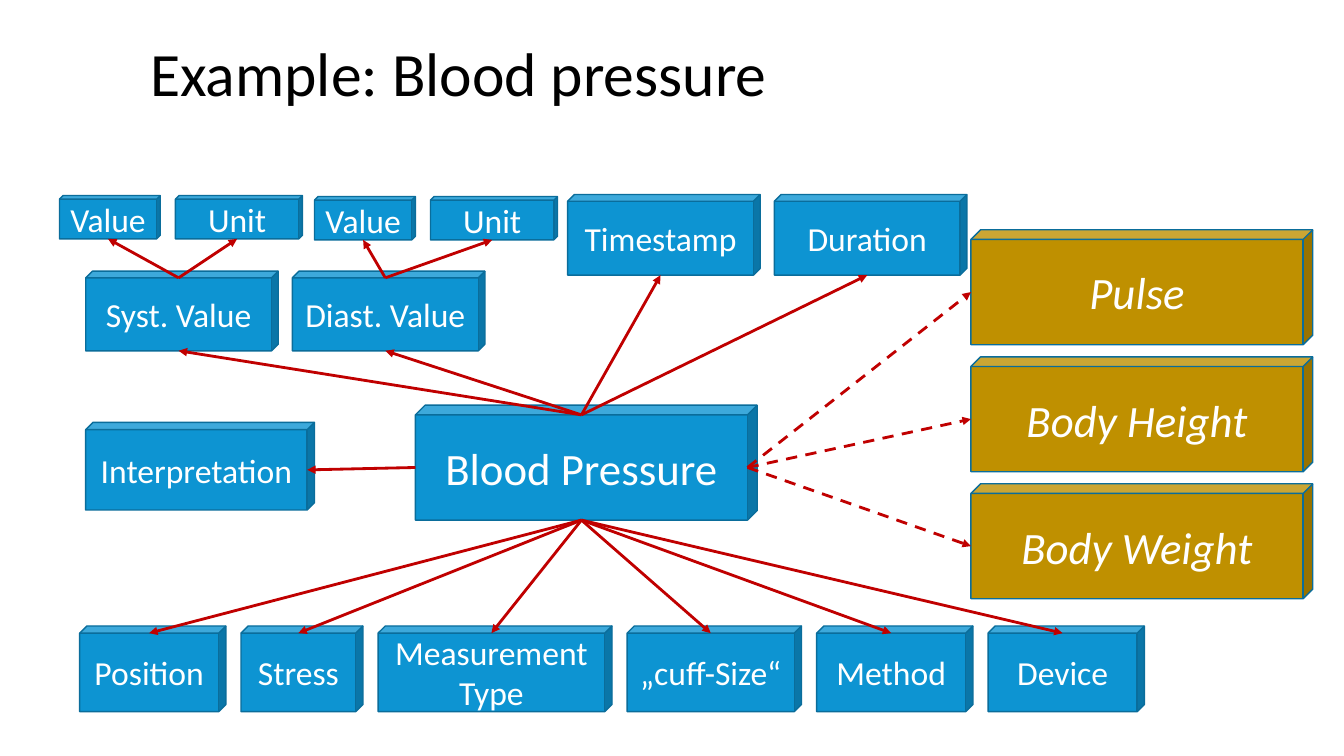
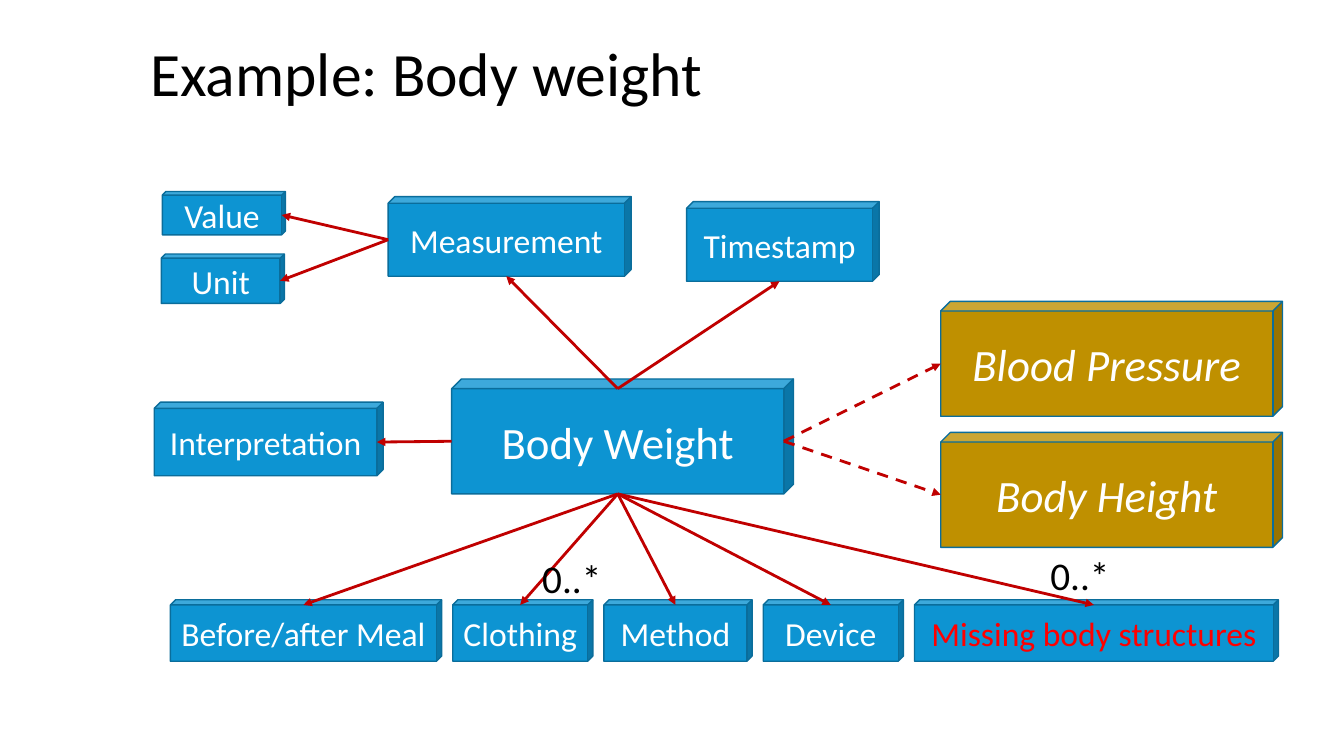
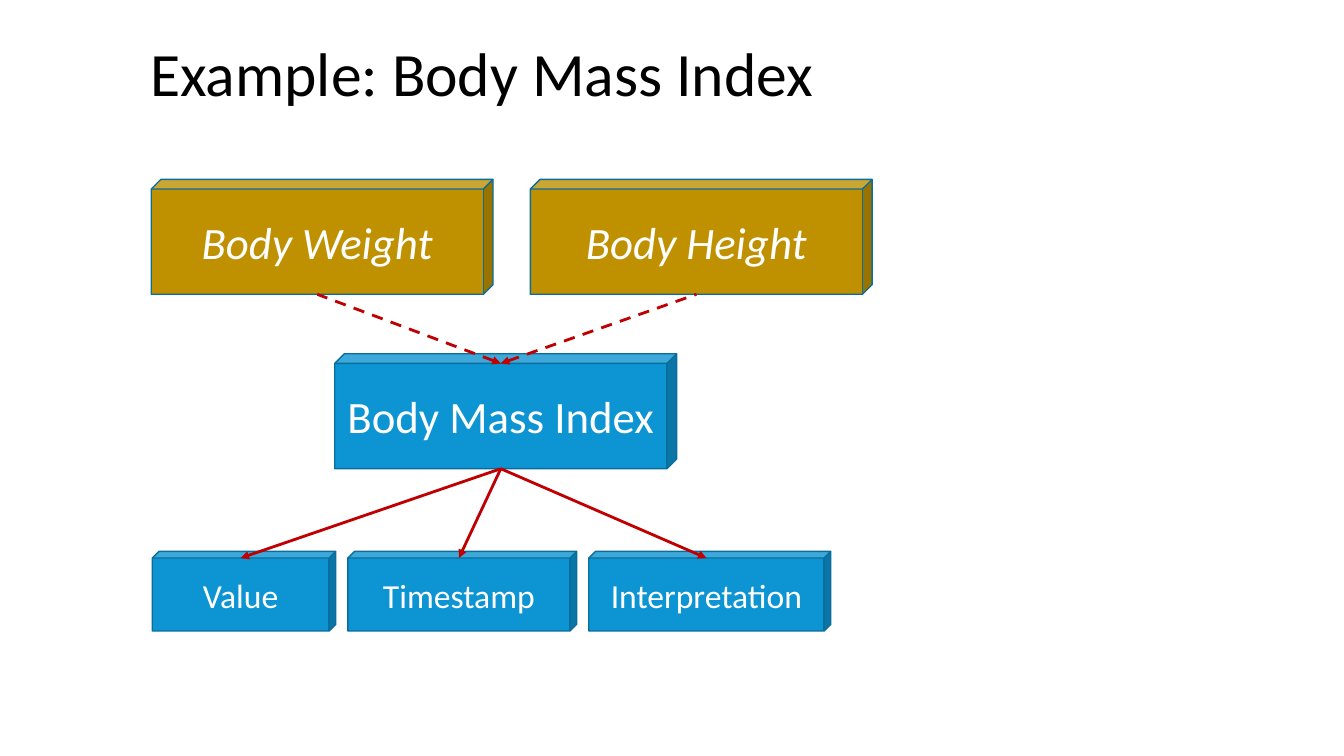
"""Three slides that map health measurements and the facts tied to them."""
from lxml.etree import SubElement
from pptx import Presentation
from pptx.dml.color import RGBColor
from pptx.enum.dml import MSO_LINE_DASH_STYLE as Dash
from pptx.enum.shapes import MSO_CONNECTOR as Link, MSO_SHAPE as Form
from pptx.enum.text import MSO_ANCHOR as Anchor, MSO_AUTO_SIZE as Fit, PP_ALIGN as Align
from pptx.oxml.ns import qn
from pptx.util import Inches, Pt

BLUE = RGBColor(0x0D, 0x94, 0xD2)
EDGE = RGBColor(0x0A, 0x6D, 0x9B)
GOLD = RGBColor(0xBF, 0x90, 0x00)
WINE = RGBColor(0xC0, 0x00, 0x00)
RED = RGBColor(0xFF, 0x00, 0x00)
WHITE = RGBColor(0xFF, 0xFF, 0xFF)
BLACK = RGBColor(0x00, 0x00, 0x00)
TINTS = {"Missing body structures": RED}

DEPTH = 0.084
TOP, LEFT, BASE, RIGHT = 1, 2, 3, 4
ROOT, FACT, PEER = (BLUE, 32, False), (BLUE, 24, False), (GOLD, 32, True)
BIG_W, BIG_H = 33.9, 11.4

deck = Presentation()
deck.slide_width, deck.slide_height = Inches(13.33), Inches(7.5)
CELL = deck.slide_height / 75


def grid(*cells):
    """Turn grid cells into lengths."""
    return [round(n * CELL) for n in cells]


def style(par, size, color, italic=False):
    """Set the font of a paragraph."""
    font = par.font
    font.name, font.size, font.italic = "Calibri", Pt(size), italic
    font.color.rgb = color


# Each row: kind, parent, side of parent, side of box, left, top, height, gap, boxes
PAGES = [
    ("Example: Blood pressure", [
        (ROOT, None, None, None, 41.2, 40.2, BIG_H, 0, [("Blood Pressure", BIG_W)]),
        (FACT, "Blood Pressure", BASE, TOP, 7.9, 62.1, 8.5, 1.5, [
            ("Position", 14.5), ("Stress", 12.1), ("Measurement Type", 23.2),
            ("„cuff-Size“", 17.3), ("Method", 15.5), ("Device", 15.5)]),
        (FACT, "Blood Pressure", TOP, BASE, 8.5, 26.9, 7.9, 1.4,
         [("Syst. Value", 19.1), ("Diast. Value", 19.1)]),
        (FACT, "Blood Pressure", TOP, BASE, 56.3, 19.3, 8, 1.4,
         [("Timestamp", 19.1), ("Duration", 19.1)]),
        (FACT, "Syst. Value", TOP, BASE, 5.9, 19.4, 4.3, 1.5, [("Value", 10), ("Unit", 12.6)]),
        (FACT, "Diast. Value", TOP, BASE, 31.2, 19.5, 4.3, 1.5, [("Value", 10), ("Unit", 12.6)]),
        (FACT, "Blood Pressure", LEFT, RIGHT, 8.5, 41.9, 8.7, 0, [("Interpretation", 22.7)]),
        *[(PEER, "Blood Pressure", RIGHT, LEFT, 96.3, 22.8 + 12.6 * n, BIG_H, 0, [(peer, BIG_W)])
          for n, peer in enumerate(["Pulse", "Body Height", "Body Weight"])],
    ], []),
    ("Example: Body weight", [
        (ROOT, None, None, None, 44.8, 37.6, BIG_H, 0, [("Body Weight", BIG_W)]),
        (FACT, "Body Weight", BASE, TOP, 16.9, 59.5, 6.1, 1.1, [
            ("Before/after Meal", 26.9), ("Clothing", 13.9), ("Method", 14.7),
            ("Device", 13.9), ("Missing body structures", 36.1)]),
        (FACT, "Body Weight", TOP, BASE, 38.5, 19.5, 7.9, 0, [("Measurement", 24.1)]),
        (FACT, "Body Weight", TOP, BASE, 68.1, 20, 7.9, 0, [("Timestamp", 19.1)]),
        (FACT, "Measurement", LEFT, RIGHT, 16.1, 19, 4.3, 0, [("Value", 12.2)]),
        (FACT, "Measurement", LEFT, RIGHT, 16, 25.2, 4.9, 0, [("Unit", 12.2)]),
        (FACT, "Body Weight", LEFT, RIGHT, 15.3, 39.9, 7.3, 0, [("Interpretation", 22.7)]),
        *[(PEER, "Body Weight", RIGHT, LEFT, 93.3, 29.9 + 13 * n, BIG_H, 0, [(peer, BIG_W)])
          for n, peer in enumerate(["Blood Pressure", "Body Height"])],
    ], [(52.8, 54.5), (103.2, 54.2)]),
    ("Example: Body Mass Index", [
        (ROOT, None, None, None, 33.2, 35.1, BIG_H, 0, [("Body Mass Index", BIG_W)]),
        (PEER, "Body Mass Index", TOP, BASE, 15, 17.8, BIG_H, 3.7,
         [("Body Weight", BIG_W), ("Body Height", BIG_W)]),
        (FACT, "Body Mass Index", BASE, TOP, 15.1, 54.7, 7.9, 1.2,
         [("Value", 18.2), ("Timestamp", 22.7), ("Interpretation", 24)]),
    ], []),
]

for heading, rows, counts in PAGES:
    slide = deck.slides.add_slide(deck.slide_layouts[5])
    title = slide.shapes.title
    title.left, title.top, title.width, title.height = grid(13.9, 2.9, 110.3, 9.4)
    frame = title.text_frame
    frame.text, frame.auto_size, frame.vertical_anchor = heading, Fit.NONE, Anchor.MIDDLE
    par = frame.paragraphs[0]
    par.alignment, par.line_spacing = Align.LEFT, 0.9
    style(par, 44, BLACK)

    boxes = {}
    for kind, parent, out, into, left, top, high, gap, items in rows:
        fill, size, italic = kind
        for label, wide in items:
            box = slide.shapes.add_shape(Form.CUBE, *grid(left, top, wide, high))
            box.adjustments[0] = DEPTH
            box.shadow.inherit = False
            box.fill.solid()
            box.fill.fore_color.rgb = fill
            box.line.color.rgb, box.line.width = EDGE, Pt(1)
            frame = box.text_frame
            frame.text, frame.word_wrap, frame.vertical_anchor = label, True, Anchor.MIDDLE
            par = frame.paragraphs[0]
            par.alignment = Align.CENTER
            style(par, size, TINTS.get(label, WHITE), italic)

            deep = DEPTH * min(wide, high)
            mid_x, mid_y = left + (wide - deep) / 2, top + (high + deep) / 2
            ports = {TOP: (mid_x, top + deep), LEFT: (left, mid_y),
                     BASE: (mid_x, top + high), RIGHT: (left + wide - deep, mid_y)}
            boxes[label] = box, ports
            left += wide + gap
            if not parent:
                continue

            source, exits = boxes[parent]
            line = slide.shapes.add_connector(Link.STRAIGHT, *grid(*exits[out], *ports[into]))
            line.line.color.rgb, line.line.width = WINE, Pt(2)
            if kind is PEER:
                line.line.dash_style = Dash.DASH
            tip = "a:headEnd" if kind is PEER and into == BASE else "a:tailEnd"
            SubElement(line.line._get_or_add_ln(), qn(tip), type="triangle")
            SubElement(line._element.spPr, qn("a:effectLst"))
            joint = line._element.nvCxnSpPr.cNvCxnSpPr
            for tag, end, side in (("a:stCxn", source, out), ("a:endCxn", box, into)):
                SubElement(joint, qn(tag), id=str(end.shape_id), idx=str(side))

    for left, top in counts:
        note = slide.shapes.add_textbox(*grid(left, top, 8, 5.7))
        note.text_frame.text, note.text_frame.word_wrap = "0..*", False
        style(note.text_frame.paragraphs[0], 28, BLACK)

deck.save("out.pptx")
